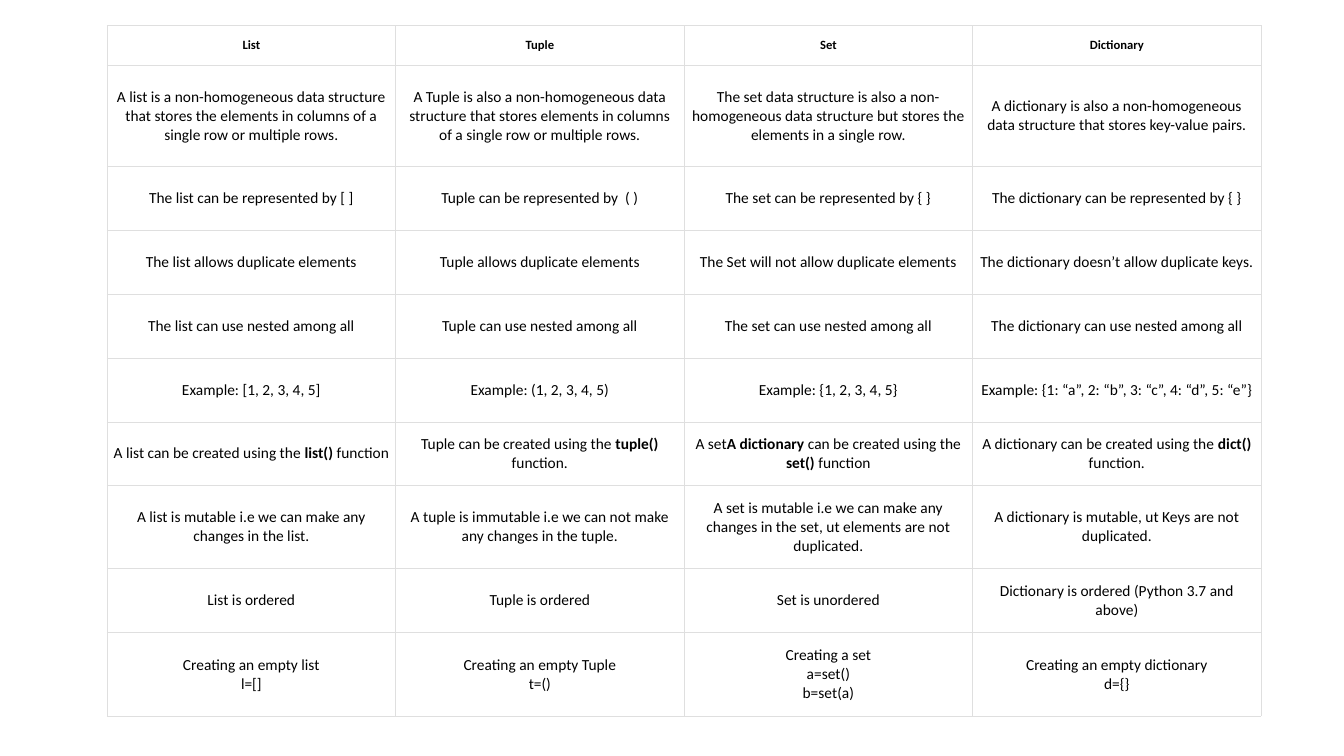
from lxml.etree import SubElement
from pptx import Presentation
from pptx.dml.color import RGBColor
from pptx.enum.text import MSO_ANCHOR, PP_ALIGN
from pptx.oxml.ns import qn
from pptx.util import Pt

COLUMN_WIDTH = 206.1
ROW_HEIGHTS = [28.6, 72.3] + [45.6] * 5 + [59.4, 45.6, 59.8]
COMPARISON = [
    ["List", "Tuple", "Set", "Dictionary"],
    ["A list is a non-homogeneous data structure that stores the elements in columns of a single row or multiple rows.",
     "A Tuple is also a non-homogeneous data structure that stores elements in columns of a single row or multiple rows.",
     "The set data structure is also a non-homogeneous data structure but stores the elements in a single row.",
     "A dictionary is also a non-homogeneous data structure that stores key-value pairs."],
    ["The list can be represented by [ ]", "Tuple can be represented by  ( )",
     "The set can be represented by { }", "The dictionary can be represented by { }"],
    ["The list allows duplicate elements", "Tuple allows duplicate elements",
     "The Set will not allow duplicate elements", "The dictionary doesn’t allow duplicate keys."],
    ["The list can use nested among all", "Tuple can use nested among all",
     "The set can use nested among all", "The dictionary can use nested among all"],
    ["Example: [1, 2, 3, 4, 5]", "Example: (1, 2, 3, 4, 5)",
     "Example: {1, 2, 3, 4, 5}", "Example: {1: “a”, 2: “b”, 3: “c”, 4: “d”, 5: “e”}"],
    ["A list can be created using the **list() **function",
     "Tuple can be created using the **tuple()** function.",
     "A set**A dictionary** can be created using the **set()** function",
     "A dictionary can be created using the **dict() **function."],
    ["A list is mutable i.e we can make any changes in the list.",
     "A tuple is immutable i.e we can not make any changes in the tuple.",
     "A set is mutable i.e we can make any changes in the set, ut elements are not duplicated.",
     "A dictionary is mutable, ut Keys are not duplicated."],
    ["List is ordered", "Tuple is ordered", "Set is unordered", "Dictionary is ordered (Python 3.7 and above)"],
    ["Creating an empty list\nl=[]", "Creating an empty Tuple\nt=()",
     "Creating a set\na=set()\nb=set(a)", "Creating an empty dictionary\nd={}"],
]


def color(value):
    """Return the colour for a hex string."""
    return RGBColor.from_string(value)


def apply(target, formats):
    """Set each named attribute on the target."""
    for name, value in formats.items():
        setattr(target, name, value)


def write_line(para, line, size, heading):
    """Write one centred line, with bold between double asterisks."""
    para.alignment = PP_ALIGN.CENTER
    for index, words in enumerate(line.split("**")):
        span = para.add_run()
        span.text = words
        apply(span.font, {"name": "Calibri", "size": Pt(size), "bold": heading or index % 2 == 1})
        span.font.color.rgb = color("000000")


def draw_borders(cell, line_color, width):
    """Draw a thin line on all four sides of a cell."""
    properties = cell._tc.get_or_add_tcPr()
    for position, side in enumerate(("a:lnL", "a:lnR", "a:lnT", "a:lnB")):
        line = SubElement(properties, qn(side), w=str(Pt(width)))
        fill = SubElement(line, qn("a:solidFill"))
        SubElement(fill, qn("a:srgbClr"), val=line_color)
        properties.insert(position, line)


def fill_cell(cell, text, heading):
    """Format a cell and write its lines."""
    inset = Pt(4.2 if heading else 6.2)
    apply(cell, {"vertical_anchor": MSO_ANCHOR.MIDDLE, "margin_left": Pt(4.2), "margin_right": Pt(4.2),
                 "margin_top": inset, "margin_bottom": inset})
    cell.fill.solid()
    cell.fill.fore_color.rgb = color("FFFFFF")
    draw_borders(cell, "DFDFDF", 0.23)
    frame = cell.text_frame
    for index, line in enumerate(text.split("\n")):
        para = frame.add_paragraph() if index else frame.paragraphs[0]
        write_line(para, line, 9 if heading else 11, heading)


def add_comparison(page, left, top):
    """Add the table that compares the four data structures."""
    columns = len(COMPARISON[0])
    table = page.shapes.add_table(len(COMPARISON), columns, Pt(left), Pt(top),
                                  Pt(COLUMN_WIDTH * columns), Pt(sum(ROW_HEIGHTS))).table
    apply(table, {"first_row": False, "horz_banding": False})
    for column in table.columns:
        column.width = Pt(COLUMN_WIDTH)
    for index, (row, height, texts) in enumerate(zip(table.rows, ROW_HEIGHTS, COMPARISON)):
        row.height = Pt(height)
        for cell, text in zip(row.cells, texts):
            fill_cell(cell, text, index == 0)


def main():
    """Build the deck and save it."""
    deck = Presentation()
    apply(deck, {"slide_width": Pt(960), "slide_height": Pt(540)})
    page = deck.slides.add_slide(deck.slide_layouts[6])
    add_comparison(page, 76.5, 18)
    deck.save("out.pptx")


if __name__ == "__main__":
    main()
